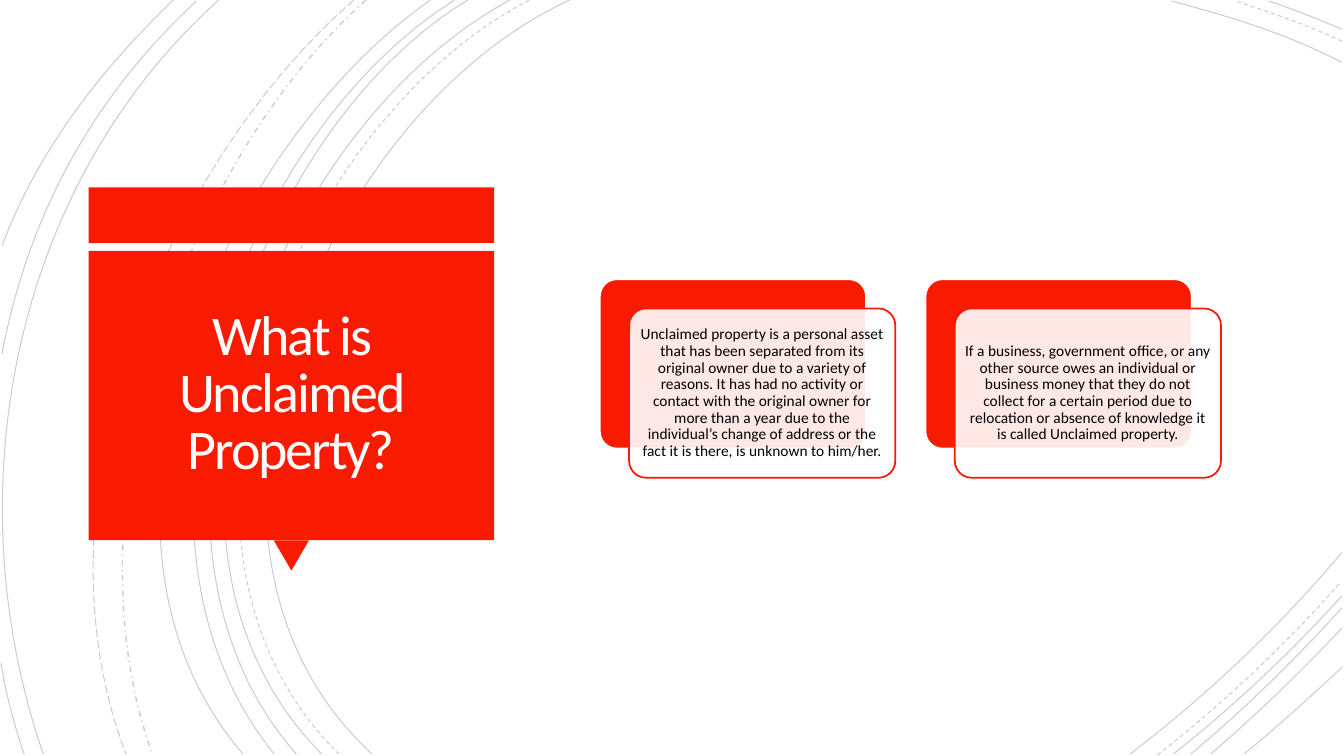
from lxml.etree import SubElement
from pptx import Presentation
from pptx.dml.color import RGBColor
from pptx.enum.dml import MSO_LINE
from pptx.enum.shapes import MSO_SHAPE
from pptx.enum.text import MSO_ANCHOR, PP_ALIGN
from pptx.oxml.ns import qn
from pptx.util import Inches, Pt

RED = RGBColor(0xF8, 0x1B, 0x02)
WHITE = RGBColor(0xFF, 0xFF, 0xFF)
CREAM = RGBColor(0xFF, 0xFE, 0xFF)
BLACK = RGBColor(0, 0, 0)
FONT = "Calibri"

ARCS = {
    (MSO_LINE.SOLID, 0.75): [
        (5.65, 0, 3.15, 1.15, 1.43, 5.4, 3.69, 7.48),
        (13.31, 0.62, 12.78, 0.34, 12.18, 0.16, 11.62, 0.01),
        (11.21, 7.48, 11.97, 6.9, 12.69, 6.22, 13.31, 5.48),
        (5.06, 0, 2.7, 1.27, 1.1, 5.37, 3.19, 7.48),
        (13.31, 0.29, 13.07, 0.19, 12.83, 0.09, 12.58, 0.01),
        (11.64, 7.48, 12.23, 7.01, 12.8, 6.48, 13.31, 5.91),
        (4.64, 0, 2.44, 1.33, 1.1, 5.41, 2.94, 7.48),
        (11.81, 7.48, 12.34, 7.04, 12.84, 6.55, 13.31, 6.03),
        (4.51, 0, 2.31, 1.38, 0.97, 5.33, 2.72, 7.48),
        (12.01, 7.48, 12.46, 7.09, 12.9, 6.67, 13.31, 6.23),
        (4.27, 0, 2.17, 1.47, 0.53, 5.29, 2.41, 7.48),
        (12.34, 7.48, 12.67, 7.21, 12.99, 6.92, 13.31, 6.62),
        (2.17, 0, 0.11, 1.85, -0.46, 4.9, 0.43, 7.48),
        (1.95, 0.01, 0.92, 0.96, 0.28, 2.14, 0.02, 3.51),
        (0.01, 6.58, 0.06, 6.89, 0.14, 7.19, 0.24, 7.48),
        (1.72, 0, 1, 0.69, 0.37, 1.5, 0.02, 2.44),
    ],
    (MSO_LINE.DASH, 0.75): [
        (5.25, 0, 2.85, 1.25, 1.23, 5.37, 3.36, 7.48),
        (13.31, 0.41, 12.97, 0.25, 12.6, 0.12, 12.25, 0.01),
        (11.48, 7.49, 12.13, 6.98, 12.75, 6.4, 13.3, 5.77),
    ],
    (MSO_LINE.DASH_DOT, 1): [(3.63, 0, 1.76, 1.66, 0.65, 5.09, 1.51, 7.48)],
    (MSO_LINE.LONG_DASH, 0.75): [(3.51, 0, 1.57, 1.69, 0.29, 4.99, 1.25, 7.48)],
}

TITLE = "What is Unclaimed Property?"
CARDS = [
    "Unclaimed property is a personal asset that has been separated from its "
    "original owner due to a variety of reasons. It has had no activity or "
    "contact with the original owner for more than a year due to the "
    "individual’s change of address or the fact it is there, is unknown to him/her.",
    "If a business, government office, or any other source owes an individual "
    "or business money that they do not collect for a certain period due to "
    "relocation or absence of knowledge it is called Unclaimed property.",
]


def fade(fill, percent):
    """Set the opacity of a solid fill's colour."""
    color = next(fill._xPr.iter(qn("a:srgbClr")))
    SubElement(color, qn("a:alpha")).set("val", str(percent * 1000))


def draw_arc(slide, coords, dash, width):
    """Draw one cubic curve from its start, two handles and end."""
    start, *rest = [(Inches(x), Inches(y)) for x, y in zip(coords[::2], coords[1::2])]
    pen = slide.shapes.build_freeform(*start)
    pen.add_line_segments(rest, close=False)
    arc = pen.convert_to_shape()
    steps = list(arc._element.iter(qn("a:lnTo")))
    curve = SubElement(steps[0].getparent(), qn("a:cubicBezTo"))
    for step in steps:
        curve.append(step[0])
        step.getparent().remove(step)
    arc.shadow.inherit = False
    arc.fill.background()
    arc.line.color.rgb = BLACK
    arc.line.width = Pt(width)
    arc.line.dash_style = dash
    fade(arc.line.fill, 20)


def draw_arcs(slide):
    """Draw the sweeping background curves."""
    for (dash, width), group in ARCS.items():
        for coords in group:
            draw_arc(slide, coords, dash, width)


def add_block(slide, kind, box, fill, line=None):
    """Add a filled shape, outlined only when a line colour is given."""
    block = slide.shapes.add_shape(kind, *map(Inches, box))
    block.shadow.inherit = False
    block.fill.solid()
    block.fill.fore_color.rgb = fill
    if line is None:
        block.line.fill.background()
    else:
        block.line.color.rgb = line
        block.line.width = Pt(1.25)
    return block


def write(shape, text, size, color, inset, spacing):
    """Write centred text in a shape and return its run."""
    frame = shape.text_frame
    frame.word_wrap = True
    frame.vertical_anchor = MSO_ANCHOR.MIDDLE
    frame.margin_left = frame.margin_right = Inches(inset)
    frame.margin_top = frame.margin_bottom = Inches(inset)
    para = frame.paragraphs[0]
    para.alignment = PP_ALIGN.CENTER
    para.line_spacing = spacing
    para.font.name = FONT
    para.font.size = Pt(size)
    para.font.color.rgb = color
    run = para.add_run()
    run.text = text
    return run


def draw_title(slide, left, top, width, height):
    """Draw the red title panel with its top band and pointer."""
    band, gap, tip_w, tip_h = 0.55, 0.08, 0.35, 0.3
    add_block(slide, MSO_SHAPE.RECTANGLE, (left, top, width, band), RED)
    bottom = top + height - tip_h
    tip = add_block(slide, MSO_SHAPE.ISOSCELES_TRIANGLE,
                    (left + (width - tip_w) / 2, bottom, tip_w, tip_h), RED)
    tip.rotation = 180
    start = top + band + gap
    panel = add_block(slide, MSO_SHAPE.RECTANGLE,
                      (left, start, width, bottom - start), RED)
    run = write(panel, TITLE, 40, CREAM, 0.34, 0.85)
    run._r.get_or_add_rPr().set("spc", "-150")


def draw_card(slide, left, top, width, height, text):
    """Draw a red card with a translucent text card offset over it."""
    shift = 0.29
    size = (width - shift, height - shift)
    back = add_block(slide, MSO_SHAPE.ROUNDED_RECTANGLE, (left, top, *size), RED, WHITE)
    front = add_block(slide, MSO_SHAPE.ROUNDED_RECTANGLE,
                      (left + shift, top + shift, *size), WHITE, RED)
    for card in (back, front):
        card.adjustments[0] = 0.1
    fade(front.fill, 90)
    write(front, text, 11, BLACK, 0.05, 0.9)


def main():
    """Build the slide and save it."""
    deck = Presentation()
    deck.slide_width, deck.slide_height = Inches(13.33), Inches(7.5)
    slide = deck.slides.add_slide(deck.slide_layouts[6])
    draw_arcs(slide)
    draw_title(slide, 0.88, 1.86, 4.02, 3.8)
    for i, text in enumerate(CARDS):
        draw_card(slide, 5.95 + i * 3.23, 2.77, 2.93, 1.97, text)
    deck.save("out.pptx")


if __name__ == "__main__":
    main()
